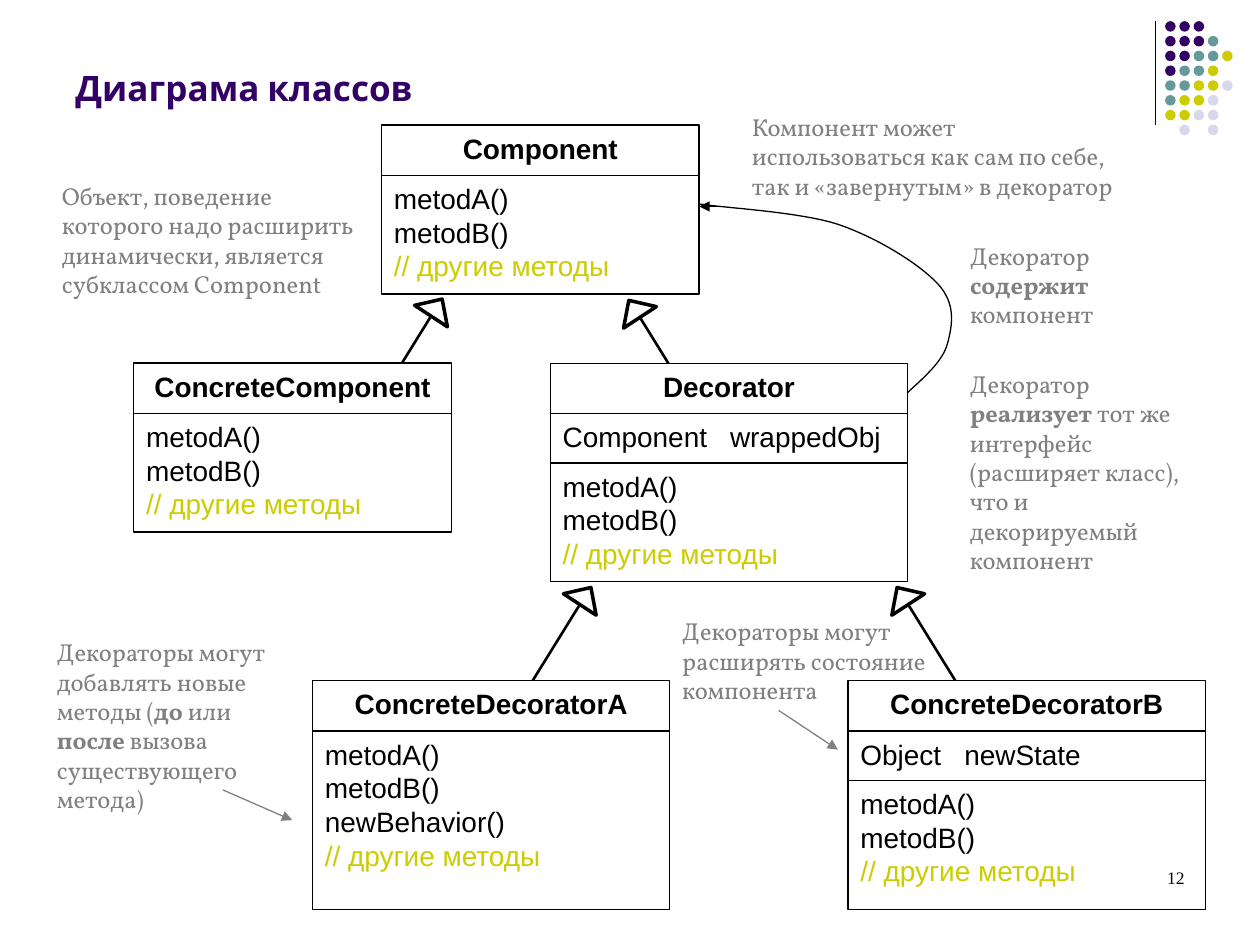
from dataclasses import dataclass
from typing import NamedTuple

import pptx
import pptx.dml.color
import pptx.enum.shapes
import pptx.enum.text
import pptx.oxml
import pptx.oxml.ns
import pptx.util

Pt = pptx.util.Pt
Color = pptx.dml.color.RGBColor
Align = pptx.enum.text.PP_ALIGN
Anchor = pptx.enum.text.MSO_ANCHOR
Shape = pptx.enum.shapes.MSO_SHAPE
NAMESPACE = pptx.oxml.ns.nsdecls("a")


@dataclass(frozen=True)
class Theme:
    purple: Color = Color(0x33, 0x00, 0x66)
    teal: Color = Color(0x66, 0x99, 0x99)
    olive: Color = Color(0xCC, 0xCC, 0x00)
    lavender: Color = Color(0xD8, 0xD8, 0xEC)
    gray: Color = Color(0x80, 0x80, 0x80)
    black: Color = Color(0x00, 0x00, 0x00)
    white: Color = Color(0xFF, 0xFF, 0xFF)
    title_font: str = "Cabin"
    note_font: str = "Vollkorn"
    class_font: str = "Arial"
    number_font: str = "Times New Roman"
    title_size: float = 20
    note_size: float = 14
    class_size: float = 16
    number_size: float = 10
    note_leading: float = 16.75
    class_leading: float = 19.2
    thin: float = 0.75
    medium: float = 1.5
    thick: float = 2


THEME = Theme()


class Box(NamedTuple):
    left: float
    top: float
    width: float
    height: float


class Section(NamedTuple):
    height: float
    lines: list[str]
    tab: float = 0


class ClassBox(NamedTuple):
    name: str
    left: float
    top: float
    width: float
    sections: list[Section]


class Note(NamedTuple):
    box: Box
    text: str


class Arrow(NamedTuple):
    start: tuple[float, float]
    end: tuple[float, float]
    color: Color


HEADER_HEIGHT = 28.8
FIELD_HEIGHT = 28.2
COMMENT = "// другие методы"
METHODS = ["metodA()", "metodB()", COMMENT]

CLASSES = [
    ClassBox("Component", 218, 71.4, 181.5, [Section(67.8, METHODS)]),
    ClassBox("ConcreteComponent", 76.4, 207.4, 181.5, [Section(67.8, METHODS)]),
    ClassBox("ConcreteDecoratorA", 178.6, 389, 204.2,
             [Section(102, ["metodA()", "metodB()", "newBehavior()", COMMENT])]),
    ClassBox("Decorator", 314.5, 207.6, 204.2,
             [Section(FIELD_HEIGHT, ["Component\twrappedObj"], 95.6), Section(67.8, METHODS)]),
    ClassBox("ConcreteDecoratorB", 484.6, 389, 204.2,
             [Section(FIELD_HEIGHT, ["Object\tnewState"], 59.4), Section(73.6, METHODS)]),
]

# Asterisks enclose bold words.
NOTES = [
    Note(Box(422.6, 60.5, 226.8, 75),
         "Компонент может использоваться как сам по себе, так и «завернутым» в декоратор"),
    Note(Box(547.2, 134, 102.2, 57.6), "Декоратор *содержит* компонент"),
    Note(Box(547.2, 207.4, 141.8, 125.3),
         "Декоратор *реализует* тот же интерфейс (расширяет класс), что и декорируемый компонент"),
    Note(Box(28.3, 100, 184.3, 91.4),
         "Объект, поведение которого надо расширить динамически, является субклассом Component"),
    Note(Box(382.8, 348.7, 175.7, 57.6), "Декораторы могут расширять состояние компонента"),
    Note(Box(25.4, 360.8, 136, 125.3),
         "Декораторы могут добавлять новые методы (*до* или *после* вызова существующего метода)"),
]

NOTE_ARROWS = [
    Arrow((445, 406), (478.8, 428.4), THEME.gray),
    Arrow((127.4, 451.4), (167, 468.7), THEME.gray),
]
REFERENCE_ARROW = Arrow((411, 118), (399.6, 118), THEME.black)

# Foot of each inheritance line, and whether it leans right (1) or left (-1).
INHERITANCES = [((562.3, 415.4), -1), ((288, 415.4), 1), ((203, 250.6), 1), ((409, 251.3), -1)]

CURVE = [(518.4, 224.6), (528.5, 215.3), (538.6, 206.6), (541.4, 196.6),
         (544.3, 185.8), (546.5, 173.5), (535.7, 162), (525.6, 151.2), (501.8, 136),
         (478.8, 128.2), (456.5, 121), (413.3, 118.8), (399.6, 116.6)]

DOT_ROWS = ["PPP", "PPPT", "PPTTY", "PTTY", "TTYYL", "TYYL", "YYLL", " L L"]
DOT_COLORS = {"P": THEME.purple, "T": THEME.teal, "Y": THEME.olive, "L": THEME.lavender}


def write_text(shape, lines: list[str], *, font: str, size: float, color: Color,
               bold: bool = False, align=Align.LEFT, anchor=Anchor.TOP,
               leading: float = 0, tab: float = 0) -> None:
    """Fill a shape with paragraphs; asterisks switch bold, // marks a code comment."""
    frame = shape.text_frame
    frame.word_wrap = True
    frame.vertical_anchor = anchor
    for index, line in enumerate(lines):
        paragraph = frame.paragraphs[0] if index == 0 else frame.add_paragraph()
        paragraph.alignment = align
        if leading:
            paragraph.line_spacing = Pt(leading)
        if tab:
            properties = paragraph._p.get_or_add_pPr()
            properties.append(pptx.oxml.parse_xml(
                f'<a:tabLst {NAMESPACE}><a:tab pos="{Pt(tab)}" algn="l"/></a:tabLst>'))
        for part, text in enumerate(line.split("*")):
            run = paragraph.add_run()
            run.text = text
            run.font.name = font
            run.font.size = Pt(size)
            run.font.bold = bold or part % 2 == 1
            run.font.color.rgb = THEME.olive if line.startswith("//") else color


def add_text_box(slide, box: Box, text: str, **text_format) -> None:
    shape = slide.shapes.add_textbox(*map(Pt, box))
    write_text(shape, [text], **text_format)


def add_filled_shape(slide, kind, box: Box, fill: Color, line_width: float = 0):
    shape = slide.shapes.add_shape(kind, *map(Pt, box))
    shape.shadow.inherit = False
    shape.fill.solid()
    shape.fill.fore_color.rgb = fill
    if line_width:
        shape.line.color.rgb = THEME.black
        shape.line.width = Pt(line_width)
    else:
        shape.line.fill.background()
    return shape


def add_line(slide, arrow: Arrow, width: float = THEME.thin, head: bool = True) -> None:
    connector = slide.shapes.add_connector(
        pptx.enum.shapes.MSO_CONNECTOR.STRAIGHT, *map(Pt, arrow.start + arrow.end))
    connector.line.color.rgb = arrow.color
    connector.line.width = Pt(width)
    if head:
        connector.line._get_or_add_ln().append(
            pptx.oxml.parse_xml(f'<a:tailEnd {NAMESPACE} type="triangle"/>'))
    connector._element.spPr.append(pptx.oxml.parse_xml(f"<a:effectLst {NAMESPACE}/>"))


def add_inheritance(slide, foot: tuple[float, float], lean: int) -> None:
    x, y = foot[0] + lean * 44.6, foot[1] - 72
    add_line(slide, Arrow(foot, (x, y), THEME.black), THEME.medium, head=False)
    width, height = 22.4, 11.6
    box = Box(x + lean * 1.9 - width / 2, y - 2.8 - height / 2, width, height)
    triangle = add_filled_shape(slide, Shape.ISOSCELES_TRIANGLE, box, THEME.white, THEME.thick)
    triangle.rotation = lean * 33.2


def add_curve(slide, points: list[tuple[float, float]], steps: int = 16) -> None:
    """Draw joined cubic Bezier segments as a fine open outline."""
    outline = []
    for first in range(0, len(points) - 1, 3):
        for step in range(1, steps + 1):
            t = step / steps
            weights = ((1 - t) ** 3, 3 * t * (1 - t) ** 2, 3 * t * t * (1 - t), t ** 3)
            segment = points[first:first + 4]
            outline.append(tuple(
                Pt(sum(weight * point[axis] for weight, point in zip(weights, segment)))
                for axis in (0, 1)))
    builder = slide.shapes.build_freeform(*map(Pt, points[0]))
    builder.add_line_segments(outline, close=False)
    curve = builder.convert_to_shape()
    curve.shadow.inherit = False
    curve.fill.background()
    curve.line.color.rgb = THEME.black
    curve.line.width = Pt(THEME.thin)


def add_class(slide, item: ClassBox) -> None:
    top = item.top
    for index, section in enumerate([Section(HEADER_HEIGHT, [item.name]), *item.sections]):
        box = Box(item.left, top, item.width, section.height)
        shape = add_filled_shape(slide, Shape.RECTANGLE, box, THEME.white, THEME.thin)
        write_text(shape, section.lines, font=THEME.class_font, size=THEME.class_size,
                   color=THEME.black, bold=index == 0, leading=THEME.class_leading,
                   align=Align.CENTER if index == 0 else Align.LEFT, tab=section.tab)
        top += section.height


def add_dots(slide) -> None:
    add_line(slide, Arrow((660.4, 12), (660.4, 71.4), THEME.black), head=False)
    for row, marks in enumerate(DOT_ROWS):
        for column, mark in enumerate(marks):
            if mark in DOT_COLORS:
                box = Box(665.8 + 8.15 * column, 12.1 + 8.45 * row, 6, 6)
                add_filled_shape(slide, Shape.OVAL, box, DOT_COLORS[mark])


def main() -> None:
    presentation = pptx.Presentation()
    presentation.slide_width, presentation.slide_height = Pt(720), Pt(540)
    slide = presentation.slides.add_slide(presentation.slide_layouts[6])
    add_dots(slide)
    add_text_box(slide, Box(36, 9.4, 619.2, 56.2), "Диаграма классов", font=THEME.title_font,
                 size=THEME.title_size, color=THEME.purple, bold=True, anchor=Anchor.BOTTOM)
    add_line(slide, REFERENCE_ARROW)
    add_curve(slide, CURVE)
    for foot, lean in INHERITANCES:
        add_inheritance(slide, foot, lean)
    for item in CLASSES:
        add_class(slide, item)
    for note in NOTES:
        add_text_box(slide, note.box, note.text, font=THEME.note_font, size=THEME.note_size,
                     color=THEME.gray, leading=THEME.note_leading)
    for arrow in NOTE_ARROWS:
        add_line(slide, arrow)
    add_text_box(slide, Box(516.2, 491.8, 167.8, 36), "12", font=THEME.number_font,
                 size=THEME.number_size, color=THEME.black, align=Align.RIGHT)
    presentation.save("out.pptx")


if __name__ == "__main__":
    main()
